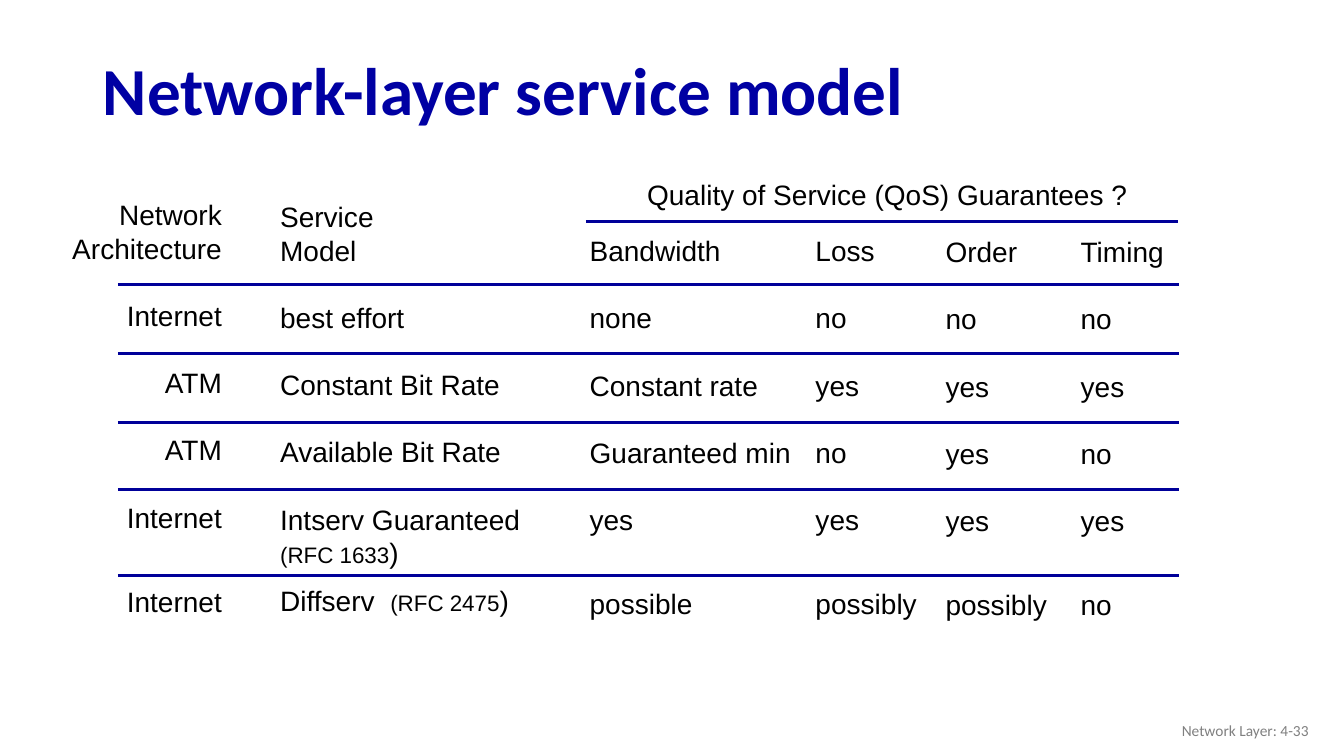
from lxml import etree
from pptx import Presentation
from pptx.dml.color import RGBColor
from pptx.enum.shapes import MSO_CONNECTOR
from pptx.enum.text import MSO_ANCHOR, MSO_AUTO_SIZE, PP_ALIGN
from pptx.oxml.ns import qn
from pptx.util import Pt

LEFT, RIGHT = PP_ALIGN.LEFT, PP_ALIGN.RIGHT
TOP, MIDDLE = MSO_ANCHOR.TOP, MSO_ANCHOR.MIDDLE
STRAIGHT = MSO_CONNECTOR.STRAIGHT
NO_AUTOFIT = MSO_AUTO_SIZE.NONE

COLORS = {"title": "0000A3", "rule": "000099", "text": "000000", "footer": "808080"}
TITLE_ONLY = 5
EMU_PER_PX = 9144
LINE = 24
ROW_GAPS = [0, 24, 24, 24, 24, 36]


def px(length):
    return length * EMU_PER_PX


class SlideBuilder:
    """Holds the style and the current slide, with lengths at 100 px to the inch."""

    def __init__(self, presentation):
        self.slide = presentation.slides.add_slide(presentation.slide_layouts[TITLE_ONLY])

    def style(self, paragraph, size, color, font="Arial", bold=False, align=LEFT):
        paragraph.alignment = align
        paragraph.font.name = font
        paragraph.font.size = Pt(size)
        paragraph.font.bold = bold
        paragraph.font.color.rgb = RGBColor.from_string(COLORS[color])

    def title(self, text, left, top, width, height):
        shape = self.slide.shapes.title
        shape.left, shape.top, shape.width, shape.height = map(px, (left, top, width, height))
        frame = shape.text_frame
        frame.text = text
        frame.auto_size = NO_AUTOFIT
        frame.vertical_anchor = MIDDLE
        paragraph = frame.paragraphs[0]
        paragraph.line_spacing = 0.9
        self.style(paragraph, 48, "title", "Calibri", bold=True)

    def text_frame(self, left, top, width, height, anchor=TOP):
        shape = self.slide.shapes.add_textbox(*map(px, (left, top, width, height)))
        frame = shape.text_frame
        frame.word_wrap = True
        frame.vertical_anchor = anchor
        return frame

    def label(self, text, left, top, width, height, **style):
        frame = self.text_frame(left, top, width, height, MIDDLE)
        frame.text = text
        self.style(frame.paragraphs[0], **style)

    def column(self, cells, left, top, width, height, align=LEFT):
        frame = self.text_frame(left, top, width, height)
        for index, (gap, runs) in enumerate(cells):
            paragraph = frame.paragraphs[0] if index == 0 else frame.add_paragraph()
            self.style(paragraph, 20, "text", align=align)
            paragraph.line_spacing = Pt(LINE)
            paragraph.space_before = Pt(gap)
            for text, size in runs:
                run = paragraph.add_run()
                run.text = text
                if size != 20:
                    run.font.size = Pt(size)

    def rule(self, left, right, y):
        line = self.slide.shapes.add_connector(STRAIGHT, px(left), px(y), px(right), px(y))
        line.line.color.rgb = RGBColor.from_string(COLORS["rule"])
        line.line.width = Pt(2.25)
        etree.SubElement(line._element.spPr, qn("a:effectLst"))


def plain(gaps, texts):
    return [(gap, [(text, 20)]) for gap, text in zip(gaps, texts)]


def main():
    presentation = Presentation()
    presentation.slide_width, presentation.slide_height = px(1333), px(750)
    builder = SlideBuilder(presentation)
    builder.title("Network-layer service model", 92, 44, 1150, 98)

    architectures = ["Network", "Architecture", "Internet", "ATM", "ATM", "Internet", "Internet"]
    builder.column(plain([0] + ROW_GAPS, architectures), 50, 191, 180, 431, RIGHT)

    models = ["Service", "Model", "best effort", "Constant Bit Rate",
              "Available Bit Rate", "Intserv Guaranteed"]
    references = [(0, [("(RFC 1633", 16), (")", 20)]),
                  (10, [("Diffserv  ", 20), ("(RFC 2475", 16), (")", 20)])]
    builder.column(plain([0] + ROW_GAPS[:-1], models) + references, 268, 193, 289, 428)

    guarantees = [
        (575, 227, 234, ["Bandwidth", "none", "Constant rate", "Guaranteed min", "yes", "possible"]),
        (799, 227, 126, ["Loss", "no", "yes", "no", "yes", "possibly"]),
        (928, 228, 126, ["Order", "no", "yes", "yes", "yes", "possibly"]),
        (1062, 228, 126, ["Timing", "no", "yes", "no", "yes", "no"]),
    ]
    for left, top, width, texts in guarantees:
        builder.column(plain(ROW_GAPS, texts), left, top, width, 397)

    builder.label("Quality of Service (QoS) Guarantees ?", 632, 171, 510, 44,
                  size=20, color="text")
    builder.rule(581, 1168, 220)
    for y in (282, 351, 419, 486, 571):
        builder.rule(117, 1169, y)

    builder.label("Network Layer: 4-33", 1008, 705, 300, 40,
                  size=11, color="footer", font="Calibri", align=RIGHT)
    presentation.save("out.pptx")


if __name__ == "__main__":
    main()
